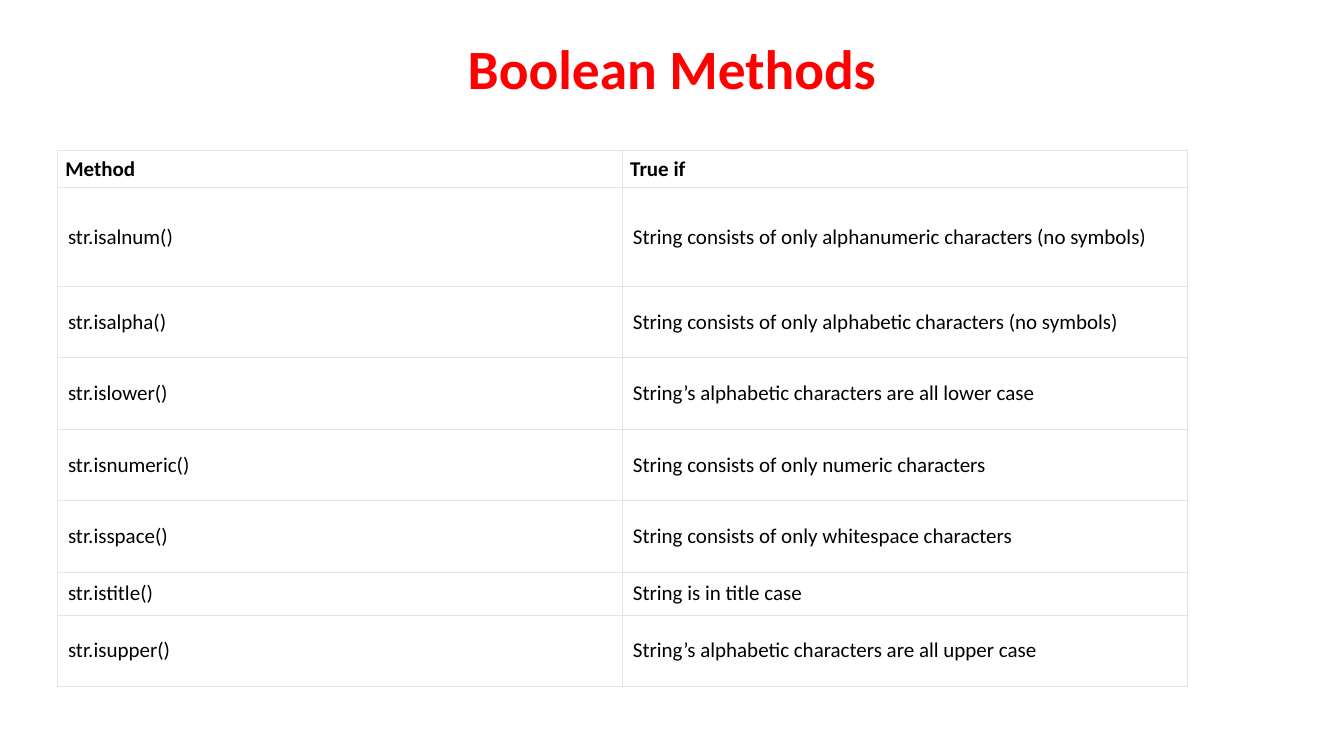
import pptx
import pptx.dml.color
import pptx.enum.text
import pptx.oxml
import pptx.oxml.ns
import pptx.util

Pt = pptx.util.Pt
MIDDLE = pptx.enum.text.MSO_ANCHOR.MIDDLE
FONT = "Calibri"
METHODS = [
    ("Method", "True\u00a0if"),
    ("str.isalnum()", "String consists of only alphanumeric characters (no symbols)"),
    ("str.isalpha()", "String consists of only alphabetic characters (no symbols)"),
    ("str.islower()", "String’s alphabetic characters are all lower case"),
    ("str.isnumeric()", "String consists of only numeric characters"),
    ("str.isspace()", "String consists of only whitespace characters"),
    ("str.istitle()", "String is in title case"),
    ("str.isupper()", "String’s alphabetic characters are all upper case"),
]
ROW_HEIGHTS = [26.5, 70.7, 51, 51, 51, 51, 30.7, 51]


def color(value):
    return pptx.dml.color.RGBColor.from_string(value)


def set_font(paragraph, size, value, bold):
    font = paragraph.font
    font.name, font.size, font.bold = FONT, Pt(size), bold
    font.color.rgb = color(value)


def set_borders(cell, value, width):
    properties = cell._tc.get_or_add_tcPr()
    # Borders come before the fill in the cell properties
    for index, side in enumerate(("lnL", "lnR", "lnT", "lnB")):
        line = pptx.oxml.parse_xml(
            f'<a:{side} {pptx.oxml.ns.nsdecls("a")} w="{Pt(width)}">'
            f'<a:solidFill><a:srgbClr val="{value}"/></a:solidFill></a:{side}>')
        properties.insert(index, line)


def add_title(slide, left, top, width, height):
    shape = slide.shapes.add_textbox(Pt(left), Pt(top), Pt(width), Pt(height))
    frame = shape.text_frame
    frame.word_wrap = True
    frame.margin_top = Pt(1)
    paragraph = frame.paragraphs[0]
    paragraph.text = "Boolean Methods"
    paragraph.alignment = pptx.enum.text.PP_ALIGN.CENTER
    paragraph.line_spacing = 0.9
    set_font(paragraph, 39.6, "FF0000", True)


def fill_cell(cell, text, is_header):
    cell.text = text
    cell.vertical_anchor = MIDDLE
    horizontal, vertical = (5.7, 2.9) if is_header else (7.6, 5)
    cell.margin_left = cell.margin_right = Pt(horizontal)
    cell.margin_top = cell.margin_bottom = Pt(vertical)
    cell.fill.solid()
    cell.fill.fore_color.rgb = color("FFFFFF")
    set_font(cell.text_frame.paragraphs[0], 15, "000000", is_header)
    set_borders(cell, "E5E5E5", 0.75)


def add_method_table(slide, left, top, width):
    columns = len(METHODS[0])
    table = slide.shapes.add_table(
        len(METHODS), columns, Pt(left), Pt(top), Pt(width), Pt(sum(ROW_HEIGHTS))).table
    table.horz_banding = False
    for column in table.columns:
        column.width = Pt(width / columns)
    for row_index, (height, texts) in enumerate(zip(ROW_HEIGHTS, METHODS)):
        table.rows[row_index].height = Pt(height)
        for column_index, text in enumerate(texts):
            fill_cell(table.cell(row_index, column_index), text, row_index == 0)


def main():
    presentation = pptx.Presentation()
    presentation.slide_width, presentation.slide_height = Pt(960), Pt(540)
    slide = presentation.slides.add_slide(presentation.slide_layouts[6])
    add_title(slide, 66, 28.8, 828, 88.6)
    add_method_table(slide, 41, 107.4, 807)
    presentation.save("out.pptx")


if __name__ == "__main__":
    main()
